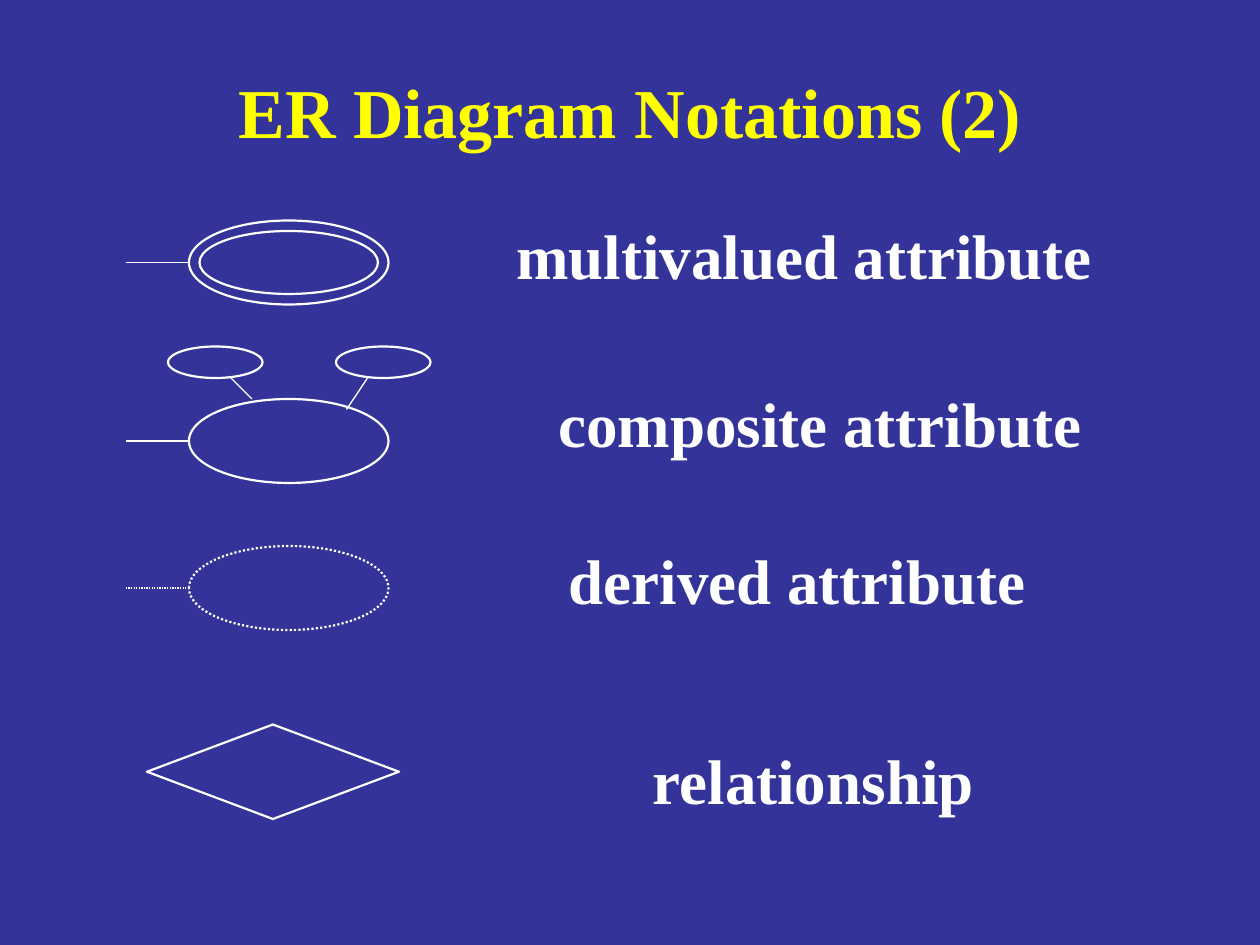
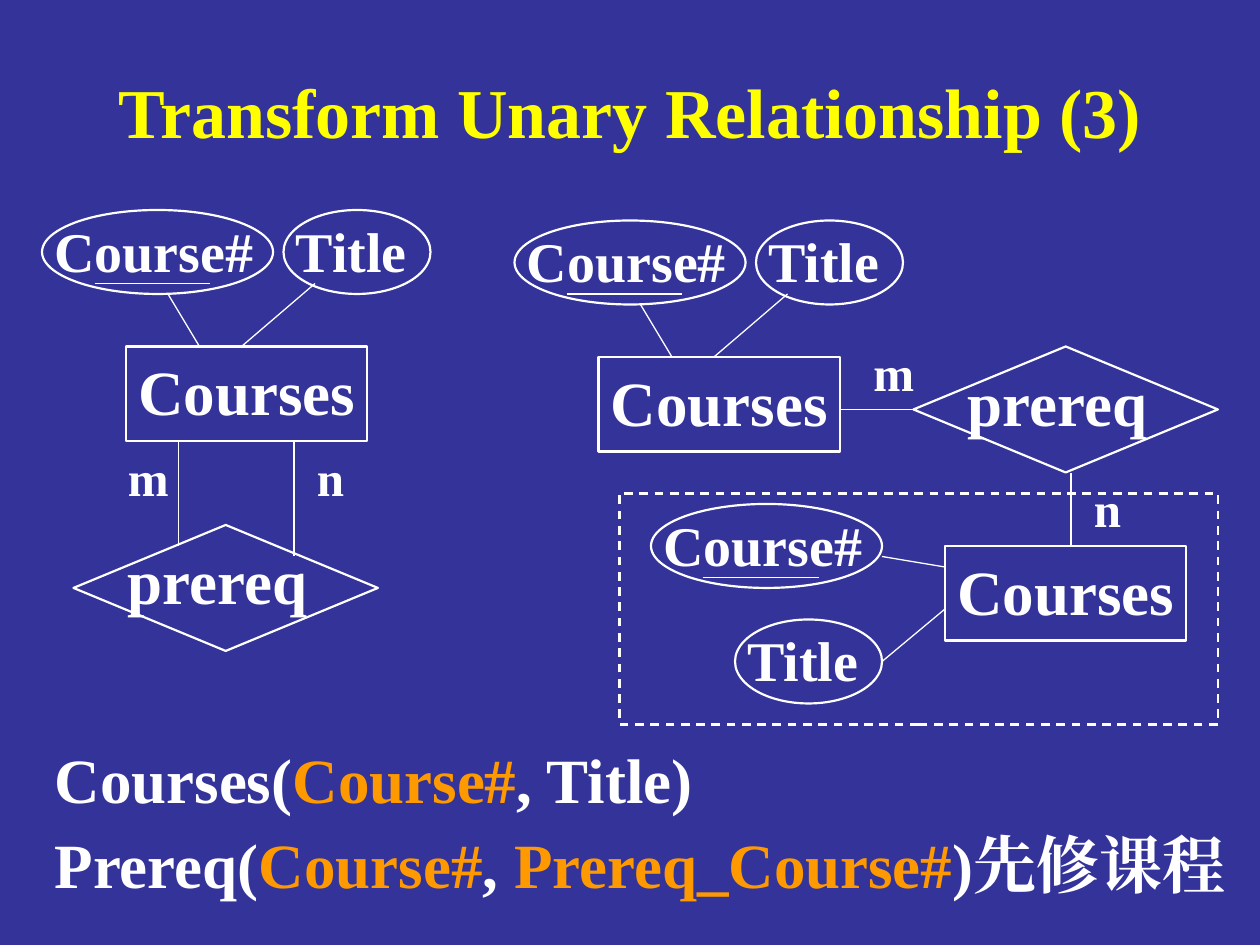
import pptx
import pptx.dml.color
import pptx.enum.dml
import pptx.enum.shapes
import pptx.enum.text
import pptx.oxml.ns
import pptx.util
from lxml import etree

SHAPE = pptx.enum.shapes.MSO_SHAPE
DASH = pptx.enum.dml.MSO_LINE
ANCHOR = pptx.enum.text.MSO_ANCHOR
ALIGN = pptx.enum.text.PP_ALIGN
Pt = pptx.util.Pt

BLUE, YELLOW, WHITE, ORANGE = "333399", "FFFF00", "FFFFFF", "FF9900"
FONT = "Times New Roman"
GRID = 2.54 / 12  # both slides sit on a grid of twelve steps to the inch
TITLE_BOX = (9, 5, 102, 11)


def grid(steps):
    return pptx.util.Cm(steps * GRID)


def colour(hex_code):
    return pptx.dml.color.RGBColor.from_string(hex_code)


def apply(target, values):
    for name, value in values.items():
        setattr(target, name, value)


def place(part, box):
    apply(part, dict(zip(("left", "top", "width", "height"), map(grid, box))))


def write(paragraph, text, size, hex_code=WHITE):
    run = paragraph.add_run()
    run.text = text
    apply(run.font, {"name": FONT, "size": Pt(size), "bold": True})
    run.font.color.rgb = colour(hex_code)
    east_asian = etree.SubElement(run.font._element, pptx.oxml.ns.qn("a:ea"))
    east_asian.set("typeface", FONT)


def stroke(line, width, dash):
    line.color.rgb = colour(WHITE)
    line.width = Pt(width)
    if dash:
        line.dash_style = dash


def outline(slide, kind, box, dash=None):
    figure = slide.shapes.add_shape(kind, *map(grid, box))
    figure.shadow.inherit = False
    figure.fill.background()
    stroke(figure.line, 1.25, dash)


def link(slide, x1, y1, x2, y2, dash=None):
    connector = slide.shapes.add_connector(
        pptx.enum.shapes.MSO_CONNECTOR.STRAIGHT, *map(grid, (x1, y1, x2, y2)))
    stroke(connector.line, 0.75, dash)
    etree.SubElement(connector._element.spPr, pptx.oxml.ns.qn("a:effectLst"))


def label(slide, x, y, width, text, size):
    frame = slide.shapes.add_textbox(*map(grid, (x, y, width, 8))).text_frame
    frame.word_wrap = True
    write(frame.paragraphs[0], text, size)


def titled_slide(deck, layout, title):
    slide = deck.slides.add_slide(deck.slide_layouts[layout])
    heading = slide.shapes.title
    place(heading, TITLE_BOX)
    heading.text_frame.vertical_anchor = ANCHOR.MIDDLE
    paragraph = heading.text_frame.paragraphs[0]
    paragraph.alignment = ALIGN.CENTER
    write(paragraph, title, 40, YELLOW)
    return slide


def attribute_symbol(slide, y, dash=None):
    """Draw a large ellipse with the line that ties it to its entity."""
    outline(slide, SHAPE.OVAL, (18, y, 19, 8), dash)
    link(slide, 18, y + 4, 12, y + 4, dash)


def multivalued_symbol(slide, y):
    attribute_symbol(slide, y)
    outline(slide, SHAPE.OVAL, (19, y + 1, 17, 6))


def composite_symbol(slide, y):
    attribute_symbol(slide, y)
    for part_x in (16, 32):
        outline(slide, SHAPE.OVAL, (part_x, y - 5, 9, 3))
    link(slide, 22, y - 2, 24, y)
    link(slide, 35, y - 2, 33, y + 1)


def derived_symbol(slide, y):
    attribute_symbol(slide, y, DASH.ROUND_DOT)


def relationship_symbol(slide, y):
    outline(slide, SHAPE.DIAMOND, (14, y, 24, 9))


def notations_slide(deck):
    slide = titled_slide(deck, 5, "ER Diagram Notations (2)")
    notations = [
        (multivalued_symbol, 21, "multivalued attribute", 48, 20),
        (composite_symbol, 38, "composite attribute", 52, 36),
        (derived_symbol, 52, "derived attribute", 53, 51),
        (relationship_symbol, 69, "relationship", 61, 70),
    ]
    for symbol, symbol_y, meaning, x, y in notations:
        symbol(slide, symbol_y)
        label(slide, x, y, 58, meaning, 36)


def course_number(slide, x, y):
    """Draw the key attribute with its underline."""
    outline(slide, SHAPE.OVAL, (x, y, 22, 8))
    label(slide, x, y, 24, "Course#", 32)
    link(slide, x + 5, y + 7, x + 16, y + 7)


def course_title(slide, x, y):
    outline(slide, SHAPE.OVAL, (x, y, 14, 8))
    label(slide, x, y, 16, "Title", 32)


def courses(slide, x, y):
    outline(slide, SHAPE.RECTANGLE, (x, y, 23, 9))
    label(slide, x, y, 25, "Courses", 36)


def prereq(slide, x, y):
    outline(slide, SHAPE.DIAMOND, (x, y, 29, 12))
    label(slide, x + 4, y + 1, 25, "prereq", 36)


def courses_with_attributes(slide, x, y):
    course_number(slide, x, y)
    course_title(slide, x + 23, y)
    courses(slide, x + 8, y + 13)
    link(slide, x + 26, y + 7, x + 19, y + 13)
    link(slide, x + 12, y + 8, x + 15, y + 13)


def cardinalities(slide, m_at, n_at):
    for text, (x, y) in (("m", m_at), ("n", n_at)):
        label(slide, x, y, 6, text, 28)


def unary_diagram(slide, x, y):
    courses_with_attributes(slide, x, y)
    prereq(slide, x + 3, y + 30)
    link(slide, x + 13, y + 32, x + 13, y + 22)
    link(slide, x + 24, y + 33, x + 24, y + 22)
    cardinalities(slide, (x + 7, y + 22), (x + 25, y + 22))


def unfolded_diagram(slide, x, y):
    """Draw the relationship with a second, dashed-in set of courses."""
    courses_with_attributes(slide, x, y)
    prereq(slide, x + 38, y + 12)
    link(slide, x + 38, y + 18, x + 31, y + 18)
    link(slide, x + 53, y + 31, x + 53, y + 24)
    cardinalities(slide, (x + 33, y + 11), (x + 54, y + 24))
    outline(slide, SHAPE.RECTANGLE, (x + 10, y + 26, 57, 22), DASH.DASH)
    courses(slide, x + 41, y + 31)
    course_number(slide, x + 13, y + 27)
    course_title(slide, x + 21, y + 38)
    link(slide, x + 35, y + 32, x + 41, y + 33)
    link(slide, x + 41, y + 37, x + 35, y + 42)


def relation_schemas(slide, box):
    schemas = [
        [("Courses(", WHITE), ("Course#", ORANGE), (", Title)", WHITE)],
        [("Prereq(", WHITE), ("Course#", ORANGE), (", ", WHITE),
         ("Prereq_Course#", ORANGE), (")先修课程", WHITE)],
    ]
    body = slide.placeholders[1]
    place(body, box)
    frame = body.text_frame
    apply(frame, {"auto_size": pptx.enum.text.MSO_AUTO_SIZE.NONE,
                  "vertical_anchor": ANCHOR.TOP, "word_wrap": True})
    for index, schema in enumerate(schemas):
        paragraph = frame.add_paragraph() if index else frame.paragraphs[0]
        apply(paragraph, {"line_spacing": Pt(48.6), "space_before": Pt(0)})
        properties = paragraph._p.get_or_add_pPr()
        properties.set("marL", "0")
        properties.set("indent", "0")
        etree.SubElement(properties, pptx.oxml.ns.qn("a:buNone"))
        for text, hex_code in schema:
            write(paragraph, text, 36, hex_code)


def transform_slide(deck):
    slide = titled_slide(deck, 1, "Transform Unary Relationship (3)")
    relation_schemas(slide, (4, 69, 116, 17))
    unary_diagram(slide, 4, 20)
    unfolded_diagram(slide, 49, 21)


def main():
    deck = pptx.Presentation()
    apply(deck, {"slide_width": grid(120), "slide_height": grid(90)})
    backdrop = deck.slide_master.background.fill
    backdrop.solid()
    backdrop.fore_color.rgb = colour(BLUE)
    notations_slide(deck)
    transform_slide(deck)
    deck.save("out.pptx")


if __name__ == "__main__":
    main()
